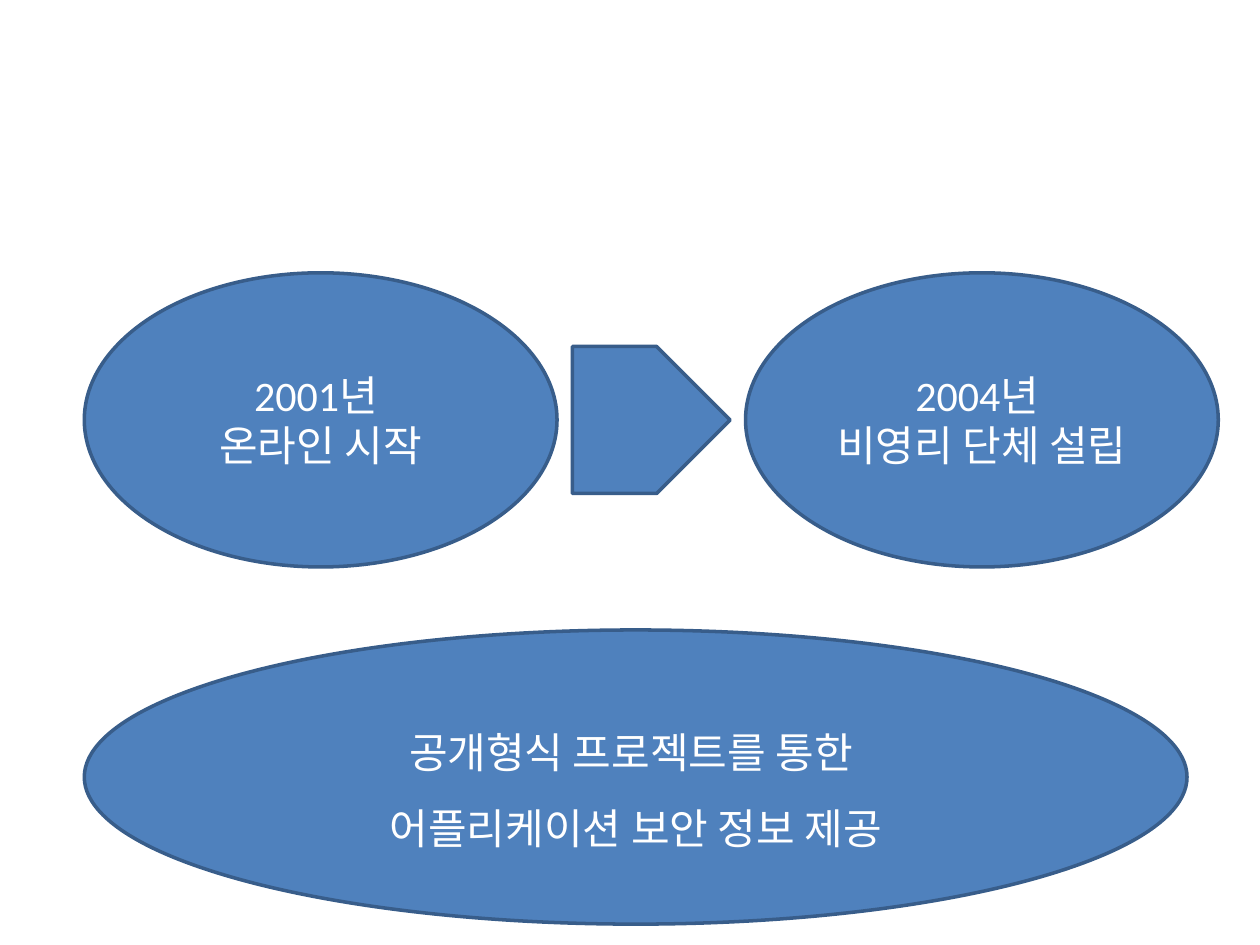
from pptx import Presentation
from pptx.dml.color import RGBColor
from pptx.enum import shapes, text
from pptx.util import Cm, Pt

COLORS = {"fill": "4F81BD", "line": "385D8A", "text": "FFFFFF"}
SHAPE = shapes.MSO_SHAPE


def add_block(s, kind, left, top, width, height):
    """Add a filled, outlined shape; lengths are in centimetres."""
    sp = s.shapes.add_shape(kind, Cm(left), Cm(top), Cm(width), Cm(height))
    sp.shadow.inherit = False
    sp.fill.solid()
    sp.fill.fore_color.rgb = RGBColor.from_string(COLORS["fill"])
    sp.line.color.rgb = RGBColor.from_string(COLORS["line"])
    sp.line.width = Pt(2)
    return sp


def add_oval(s, box, lines, spacing=1.0):
    sp = add_block(s, SHAPE.OVAL, *box)
    tf = sp.text_frame
    tf.word_wrap = True
    tf.vertical_anchor = text.MSO_ANCHOR.MIDDLE
    tf.text = "\n".join(lines)
    for p in tf.paragraphs:
        p.alignment = text.PP_ALIGN.CENTER
        p.line_spacing = spacing
        for r in p.runs:
            r.font.name = "Calibri"
            r.font.size = Pt(24)
            r.font.color.rgb = RGBColor.from_string(COLORS["text"])


def add_timeline(s, left, top, width, height, milestones):
    """Two milestone ovals with an arrow centred in the gap between them."""
    oval_w, arrow_w, arrow_h = 9.53, 3.18, height / 2
    for x, lines in zip((left, left + width - oval_w), milestones):
        add_oval(s, (x, top, oval_w, height), lines)
    add_block(s, SHAPE.PENTAGON, left + (width - arrow_w) / 2,
              top + (height - arrow_h) / 2, arrow_w, arrow_h)


def main():
    prs = Presentation()
    prs.slide_width, prs.slide_height = Cm(25.4), Cm(19.05)
    s = prs.slides.add_slide(prs.slide_layouts[6])

    # History: founding milestones
    add_timeline(s, 1.7, 5.5, 22.86, 5.93, [
        ("2001년 ", "온라인 시작"),
        ("2004년 ", "비영리 단체 설립"),
    ])

    # Mission
    add_oval(s, (1.7, 12.7, 22.23, 5.93),
             ("공개형식 프로젝트를 통한 ", "어플리케이션 보안 정보 제공"), spacing=1.5)

    prs.save("out.pptx")


if __name__ == "__main__":
    main()
